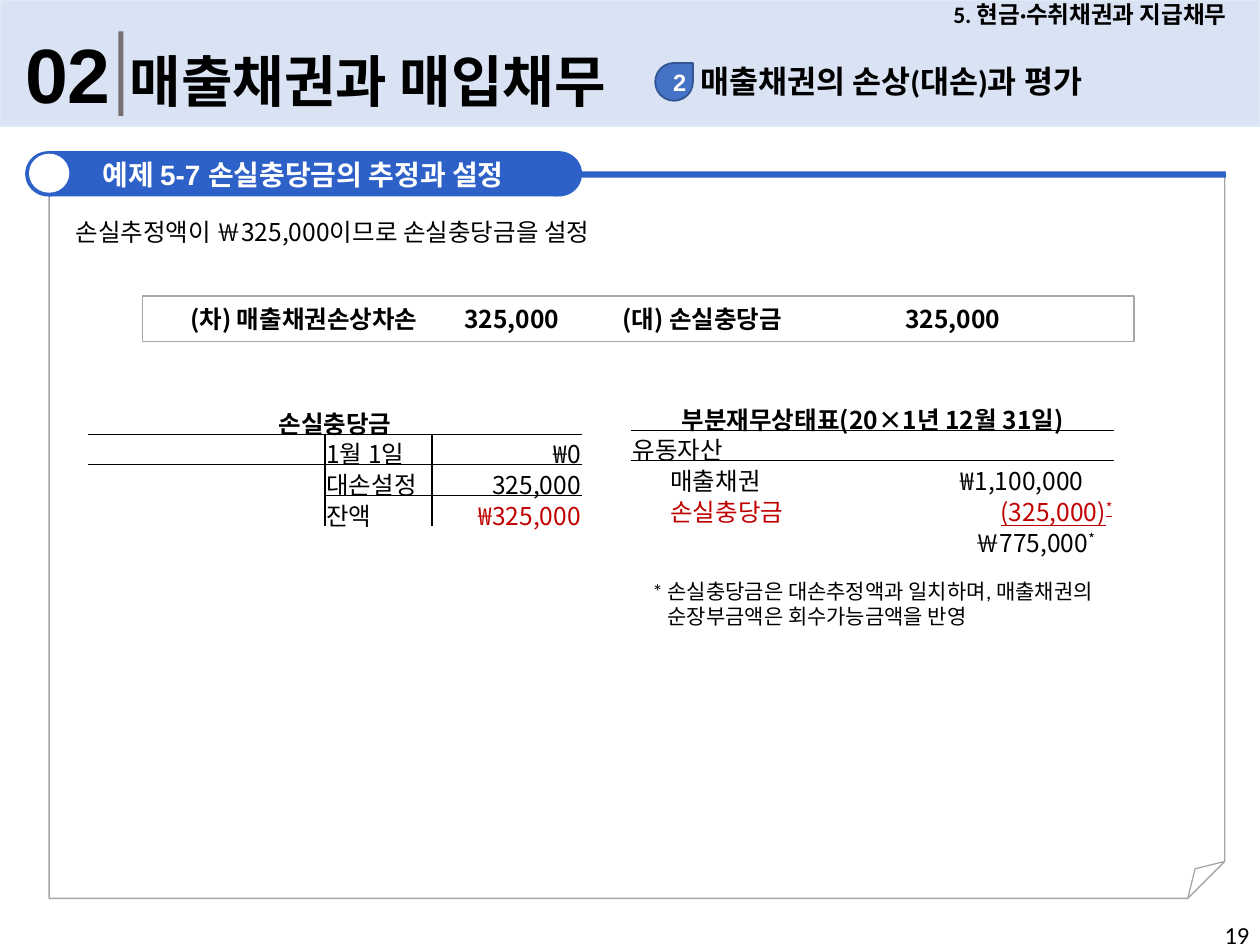
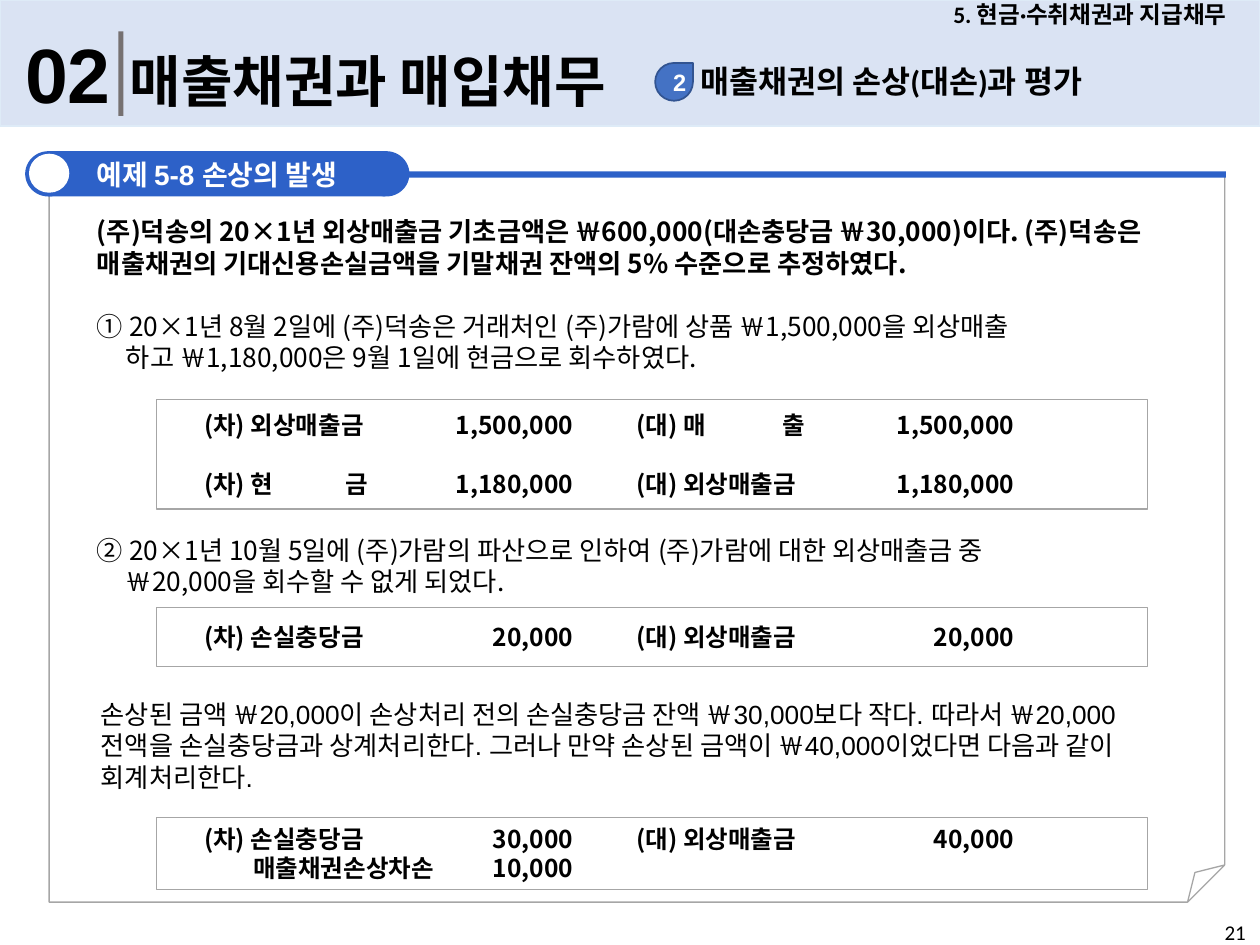
from lxml import etree
from pptx import Presentation
from pptx.dml.color import RGBColor
from pptx.enum import shapes, text
from pptx.oxml.ns import qn
from pptx.util import Inches, Pt

BLACK = RGBColor(0, 0, 0)
WHITE = RGBColor(255, 255, 255)
BAND = RGBColor(0xDA, 0xE3, 0xF3)
BAND_LINE = RGBColor(0xDE, 0xEB, 0xF7)
BAR = RGBColor(0x76, 0x71, 0x71)
DROP = RGBColor(0x44, 0x72, 0xC4)
DROP_LINE = RGBColor(0x32, 0x54, 0x91)
BLUE = RGBColor(0x2D, 0x61, 0xC8)
GRAY = RGBColor(0xA6, 0xA6, 0xA6)
RED = RGBColor(0xC0, 0, 0)
KOREAN = "Noto Sans CJK KR"

SHAPE = shapes.MSO_SHAPE
LEFT, CENTER, RIGHT = text.PP_ALIGN.LEFT, text.PP_ALIGN.CENTER, text.PP_ALIGN.RIGHT
TOP, MIDDLE = text.MSO_ANCHOR.TOP, text.MSO_ANCHOR.MIDDLE
BODY_INSETS = (0.11, 0.05, 0.11, 0.05)
ENTRY_INSETS = (0.38, 0.05, 0.11, 0.05)
CELL_INSETS = (0.01, 0.01, 0.01, 0)
NO_GRID_STYLE = "{2D5ABB26-0587-4C30-8999-92F81FD0307C}"

# Account indent, split account names, and amounts of a journal entry
ENTRY_TABS = [(0.39, "l"), (1.12, "l"), (2.93, "r"), (3.43, "l"), (4.59, "l"), (6.43, "r")]

CHAPTER = "5. 현금·수취채권과 지급채무"
SECTION_NUMBER, SECTION = "02", "매출채권과 매입채무"
TOPIC_NUMBER, TOPIC = "2", "매출채권의 손상(대손)과 평가"

ALLOWANCE_EXAMPLE = {
    "title": "5-7 손실충당금의 추정과 설정", "pill_width": 4.05, "frame_height": 5.75,
    "page": "19", "page_size": 14,
    "texts": [
        {"at": (0.49, 1.67, 9.05, 0.95), "size": 14, "insets": BODY_INSETS,
         "lines": [{"text": "손실추정액이 ￦325,000이므로 손실충당금을 설정"}]},
        {"at": (5.08, 4.54, 4.04, 0.5), "size": 12, "font": "Calibri",
         "lines": [{"text": "* 손실충당금은 대손추정액과 일치하며, 매출채권의 순장부금액은 회수가능금액을 반영",
                    "margin": 0.12, "indent": -0.12}]},
    ],
    "entries": [
        {"at": (1.13, 2.35, 7.87, 0.36),
         "lines": ["(차) 매출채권손상차손\t325,000\t(대) 손실충당금\t325,000"]},
    ],
    # A cell holds its text, then optional alignment, left and right inset, colour, mark
    "tables": [
        {"at": (5.01, 3.17), "columns": (2.04, 1.79), "rules": [(0, 0, 0.5)],
         "cells": [
             [{"text": "부분재무상태표(20×1년 12월 31일)"}, {}],
             [{"text": "유동자산"}, {}],
             [{"text": "매출채권", "left": 0.31},
              {"text": "₩1,100,000", "align": RIGHT, "right": 0.24}],
             [{"text": "손실충당금", "left": 0.31, "color": RED},
              {"text": "(325,000)", "align": RIGHT, "color": RED, "mark": "*", "underline": True}],
             [{}, {"text": "￦775,000", "align": RIGHT, "right": 0.15, "mark": "*"}],
         ]},
        {"at": (0.7, 3.2), "columns": (1.88, 0.85, 1.19),
         "rules": [(0, 0, 0.5), (2, 1, 1)], "divider": 1,
         "cells": [
             [{"text": "손실충당금"}, {}, {}],
             [{}, {"text": "1월 1일"}, {"text": "₩0", "align": RIGHT}],
             [{}, {"text": "대손설정"}, {"text": "325,000", "align": RIGHT}],
             [{}, {"text": "잔액"}, {"text": "₩325,000", "align": RIGHT, "color": RED}],
         ]},
    ],
}

IMPAIRMENT_EXAMPLE = {
    "title": "5-8 손상의 발생", "pill_width": 2.68, "frame_height": 5.78,
    "page": "21", "page_size": 12,
    "texts": [
        {"at": (0.66, 1.66, 8.89, 1.65), "size": 15, "insets": BODY_INSETS,
         "lines": [
             {"text": "(주)덕송의 20×1년 외상매출금 기초금액은 ￦600,000(대손충당금 ￦30,000)이다. "
                      "(주)덕송은 매출채권의 기대신용손실금액을 기말채권 잔액의 5% 수준으로 추정하였다.",
              "bold": True},
             {"text": "① 20×1년 8월 2일에 (주)덕송은 거래처인 (주)가람에 상품 ￦1,500,000을 외상매출",
              "before": 18},
             {"text": "하고 ￦1,180,000은 9월 1일에 현금으로 회수하였다.", "margin": 0.23}]},
        {"at": (0.66, 4.19, 8.89, 0.63), "size": 15, "insets": BODY_INSETS,
         "lines": [
             {"text": "② 20×1년 10월 5일에 (주)가람의 파산으로 인하여 (주)가람에 대한 외상매출금 중"},
             {"text": "￦20,000을 회수할 수 없게 되었다.", "margin": 0.23}]},
        {"at": (0.69, 5.49, 8.89, 0.9), "size": 15, "font": "Arial", "insets": BODY_INSETS,
         "lines": [
             {"text": "손상된 금액 ￦20,000이 손상처리 전의 손실충당금 잔액 ￦30,000보다 작다. "
                      "따라서 ￦20,000 전액을 손실충당금과 상계처리한다. 그러나 만약 손상된 금액이 "
                      "￦40,000이었다면 다음과 같이 회계처리한다."}]},
    ],
    "entries": [
        {"at": (1.24, 3.17, 7.87, 0.87), "gap": 17,
         "lines": ["(차) 외상매출금\t1,500,000\t(대) 매\t출\t1,500,000",
                   "(차) 현\t금\t1,180,000\t(대) 외상매출금\t1,180,000"]},
        {"at": (1.24, 4.82, 7.87, 0.47),
         "lines": ["(차) 손실충당금\t20,000\t(대) 외상매출금\t20,000"]},
        {"at": (1.24, 6.49, 7.87, 0.57), "anchor": TOP,
         "lines": ["(차) 손실충당금\t30,000\t(대) 외상매출금\t40,000",
                   "\t매출채권손상차손\t10,000"]},
    ],
    "tables": [],
}


def style_run(run, size, font, color=BLACK, bold=False):
    run.font.size, run.font.name, run.font.bold = Pt(size), font, bold
    run.font.color.rgb = color
    east_asian = etree.SubElement(run._r.get_or_add_rPr(), qn("a:ea"))
    east_asian.set("typeface", KOREAN)


def set_insets(target, insets):
    (target.margin_left, target.margin_top,
     target.margin_right, target.margin_bottom) = map(Inches, insets)


def write(shape, lines, size, font=KOREAN, color=BLACK, bold=False, align=LEFT,
          anchor=TOP, insets=(0.1, 0.05, 0.1, 0.05), tabs=()):
    """Fill a shape with one paragraph per line dict."""
    frame = shape.text_frame
    frame.word_wrap, frame.vertical_anchor = True, anchor
    set_insets(frame, insets)
    for index, line in enumerate(lines):
        paragraph = frame.paragraphs[0] if index == 0 else frame.add_paragraph()
        paragraph.alignment = align
        if line.get("before"):
            paragraph.space_before = Pt(line["before"])
        properties = paragraph._p.get_or_add_pPr()
        if "margin" in line:
            properties.set("marL", str(Inches(line["margin"])))
            properties.set("indent", str(Inches(line.get("indent", 0))))
        if tabs:
            tab_list = etree.SubElement(properties, qn("a:tabLst"))
            for position, side in tabs:
                etree.SubElement(tab_list, qn("a:tab"), pos=str(Inches(position)), algn=side)
        run = paragraph.add_run()
        run.text = line["text"]
        style_run(run, size, font, color, line.get("bold", bold))


def add_text(slide, at, lines, size, **style):
    box = slide.shapes.add_textbox(*map(Inches, at))
    write(box, lines, size, **style)


def add_shape(slide, kind, at, fill=None, line=None, width=1):
    shape = slide.shapes.add_shape(kind, *map(Inches, at))
    shape.shadow.inherit = False
    if fill is None:
        shape.fill.background()
    else:
        shape.fill.solid()
        shape.fill.fore_color.rgb = fill
    if line is None:
        shape.line.fill.background()
    else:
        shape.line.color.rgb = line
        shape.line.width = Pt(width)
    return shape


def add_header(slide):
    add_shape(slide, SHAPE.RECTANGLE, (0, 0, 10, 1), BAND, BAND_LINE)
    add_text(slide, (7.3, 0, 2.7, 0.23), [{"text": CHAPTER}], 13.5, font="Calibri",
             bold=True, align=CENTER, anchor=MIDDLE)
    add_text(slide, (0.1, 0.16, 0.91, 0.84), [{"text": SECTION_NUMBER}], 44,
             font="Arial", bold=True)
    add_shape(slide, SHAPE.RECTANGLE, (0.94, 0.25, 0.04, 0.67), BAR)
    add_text(slide, (0.93, 0.32, 4.41, 0.64), [{"text": SECTION}], 32,
             font="Calibri", bold=True)
    add_text(slide, (5.46, 0.44, 3.83, 0.4), [{"text": TOPIC}], 18,
             font="Calibri", bold=True)
    drop = add_shape(slide, SHAPE.TEAR, (5.2, 0.5, 0.3, 0.3), DROP, DROP_LINE)
    write(drop, [{"text": TOPIC_NUMBER}], 13.5, font="Arial", color=WHITE, bold=True,
          align=CENTER, anchor=MIDDLE)


def add_example_frame(slide, title, pill_width, height):
    page = add_shape(slide, SHAPE.FOLDED_CORNER, (0.39, 1.38, 9.33, height),
                     line=GRAY, width=0.75)
    geometry = page._element.spPr.find(qn("a:prstGeom"))
    fold = etree.SubElement(geometry.find(qn("a:avLst")), qn("a:gd"))
    fold.set("name", "adj")
    fold.set("fmla", "val 5100")
    add_shape(slide, SHAPE.RECTANGLE, (0.4, 1.36, 9.33, 0.05), BLUE)
    for left in (0.2, 0.38 + pill_width - 0.18):
        add_shape(slide, SHAPE.OVAL, (left, 1.2, 0.37, 0.36), BLUE)
    pill = add_shape(slide, SHAPE.RECTANGLE, (0.38, 1.2, pill_width, 0.36), BLUE)
    write(pill, [{"text": "예제 "}], 16, font="Calibri", color=WHITE, bold=True,
          align=CENTER, anchor=MIDDLE)
    run = pill.text_frame.paragraphs[0].add_run()
    run.text = title
    style_run(run, 16, "Arial", WHITE, True)
    add_shape(slide, SHAPE.OVAL, (0.23, 1.22, 0.32, 0.31), WHITE)


def add_entry(slide, at, lines, gap=0, anchor=MIDDLE):
    """Add a boxed journal entry with debits and credits on tab stops."""
    box = add_shape(slide, SHAPE.RECTANGLE, at, WHITE, GRAY, 0.75)
    rows = [{"text": line, "before": gap if index else 0} for index, line in enumerate(lines)]
    write(box, rows, 14, bold=True, anchor=anchor, insets=ENTRY_INSETS, tabs=ENTRY_TABS)


def fill_cell(cell, content, heading, borders):
    left, top, right, bottom = CELL_INSETS
    set_insets(cell, (content.get("left", left), top, content.get("right", right), bottom))
    cell.vertical_anchor = MIDDLE
    paragraph = cell.text_frame.paragraphs[0]
    paragraph.alignment = CENTER if heading else content.get("align", LEFT)
    for part in ("text", "mark"):
        if part in content:
            run = paragraph.add_run()
            run.text = content[part]
            style_run(run, 14, KOREAN, content.get("color", BLACK), heading)
            run.font.underline = content.get("underline", False)
            if part == "mark":
                run._r.get_or_add_rPr().set("baseline", "30000")
    if "text" not in content:
        etree.SubElement(paragraph._p, qn("a:endParaRPr"), sz="1400")
    properties = cell._tc.get_or_add_tcPr()
    for edge in "LRTB":
        if edge in borders:
            line = etree.SubElement(properties, qn("a:ln" + edge), w=str(Pt(borders[edge])))
            color = etree.SubElement(etree.SubElement(line, qn("a:solidFill")), qn("a:srgbClr"))
            color.set("val", str(BLACK))
    cell.fill.background()


def add_account(slide, at, columns, cells, rules, divider=None):
    """Add a ledger table; each rule is (row above it, first column, points)."""
    size = (sum(columns), 0.24 * len(cells))
    frame = slide.shapes.add_table(len(cells), len(columns), *map(Inches, at + size))
    table = frame.table
    table.first_row = table.horz_banding = False
    table._tbl.tblPr.find(qn("a:tableStyleId")).text = NO_GRID_STYLE
    for column, width in zip(table.columns, columns):
        column.width = Inches(width)
    table.cell(0, 0).merge(table.cell(0, len(columns) - 1))
    for row, contents in enumerate(cells):
        table.rows[row].height = Inches(0.24)
        for column, content in enumerate(contents):
            borders = {}
            for above, first, width in rules:
                if column >= first and row in (above, above + 1):
                    borders["B" if row == above else "T"] = width
            if divider and row and column in (divider - 1, divider):
                borders["L" if column == divider else "R"] = 1
            fill_cell(table.cell(row, column), content, row == 0, borders)


def build_example(presentation, example):
    slide = presentation.slides.add_slide(presentation.slide_layouts[6])
    add_header(slide)
    add_example_frame(slide, example["title"], example["pill_width"], example["frame_height"])
    add_text(slide, (9.62, 7.25, 0.38, 0.25), [{"text": example["page"]}],
             example["page_size"], font="Calibri", insets=(0.1, 0.05, 0, 0))
    for block in example["texts"]:
        add_text(slide, **block)
    for entry in example["entries"]:
        add_entry(slide, **entry)
    for account in example["tables"]:
        add_account(slide, **account)


def main():
    presentation = Presentation()
    presentation.slide_width, presentation.slide_height = Inches(10), Inches(7.5)
    for example in (ALLOWANCE_EXAMPLE, IMPAIRMENT_EXAMPLE):
        build_example(presentation, example)
    presentation.save("out.pptx")


if __name__ == "__main__":
    main()
